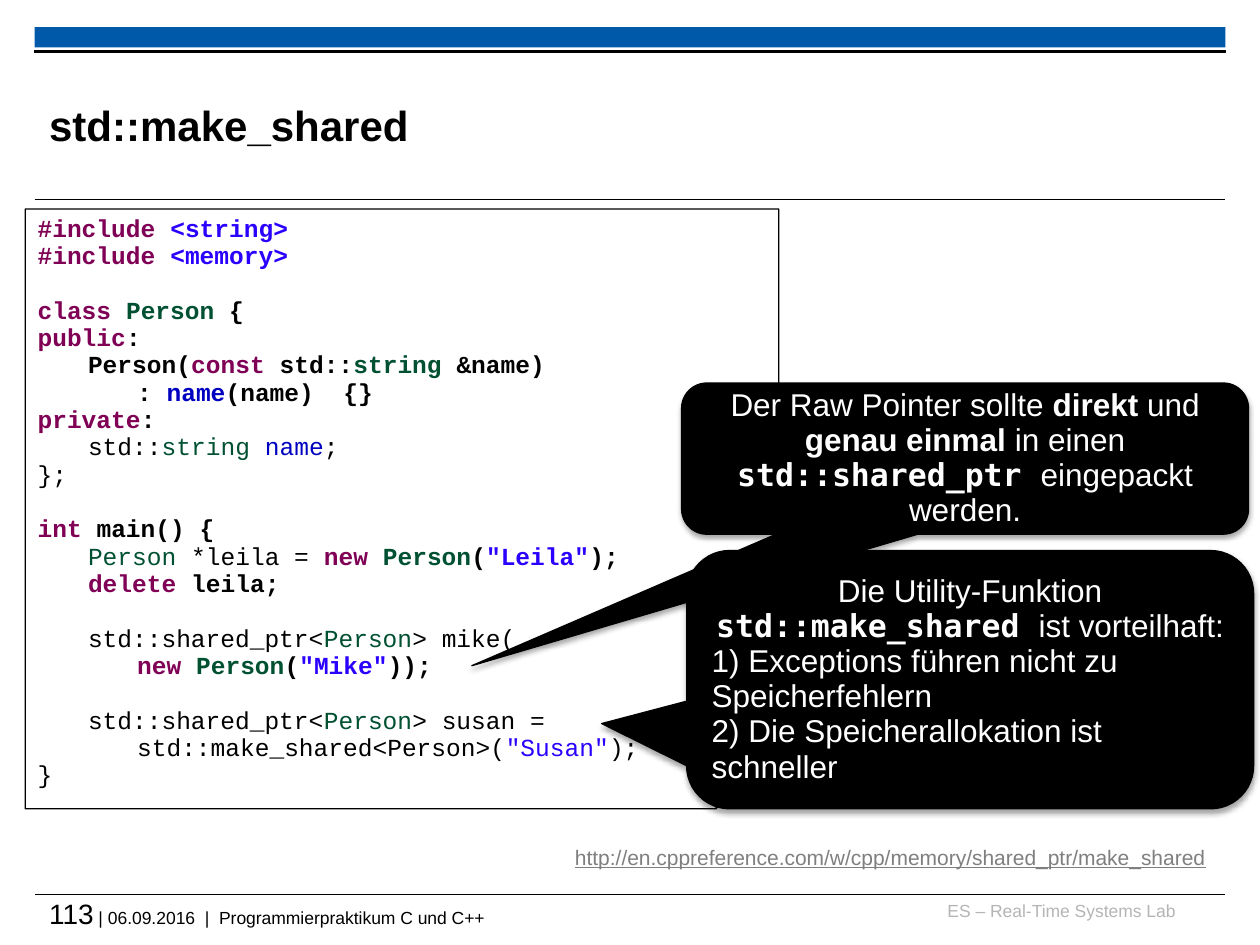
from pptx import Presentation
from pptx.dml.color import RGBColor
from pptx.enum.shapes import MSO_CONNECTOR as Connector, MSO_SHAPE as Shape
from pptx.enum.text import MSO_ANCHOR as Anchor, MSO_AUTO_SIZE as AutoSize, PP_ALIGN as Align
from pptx.oxml.ns import qn
from pptx.util import Pt
from lxml.etree import SubElement

BLACK, WHITE, BLUE = "000000", "FFFFFF", "005AA9"
KEYWORD, TYPE, STRING, FIELD = "7F0055", "005032", "2A00FF", "0000C0"
LIGHT_GRAY, GRAY = "B5B5B5", "7F7F7F"
SANS, CODE, MONO = "Arial", "Courier New", "DejaVu Sans Mono"
LINE_SPACING = 0.93
TAB_STOPS = (28.8, 56.9, 84.2)

CODE_LINES = [
    [("#include ", KEYWORD, True), ("<string>", STRING, True)],
    [("#include ", KEYWORD, True), ("<memory>", STRING, True)],
    [],
    [("class ", KEYWORD, True), ("Person", TYPE, True), (" {", BLACK, True)],
    [("public", KEYWORD, True), (":", BLACK, True)],
    [("\tPerson(", BLACK, True), ("const ", KEYWORD, True), ("std::", BLACK, True),
     ("string", TYPE, True), (" &name)", BLACK, True)],
    [("\t\t: ", BLACK, True), ("name", FIELD, True), ("(name)  {}", BLACK, True)],
    [("private", KEYWORD, True), (":", BLACK, True)],
    [("\tstd::", BLACK, False), ("string ", TYPE, False), ("name", FIELD, False),
     (";", BLACK, False)],
    [("};", BLACK, False)],
    [],
    [("int", KEYWORD, True), (" main() {", BLACK, True)],
    [("\tPerson ", TYPE, False), ("*leila = ", BLACK, False), ("new ", KEYWORD, True),
     ("Person", TYPE, True), ("(", BLACK, True), ('"Leila"', STRING, True),
     (");", BLACK, True)],
    [("\tdelete ", KEYWORD, True), ("leila;", BLACK, True)],
    [],
    [("\tstd::shared_ptr<", BLACK, False), ("Person", TYPE, False),
     ("> mike(", BLACK, False)],
    [("\t\t", BLACK, True), ("new ", KEYWORD, True), ("Person", TYPE, True),
     ("(", BLACK, True), ('"Mike"', STRING, True), ("));", BLACK, True)],
    [],
    [("\tstd::shared_ptr<", BLACK, False), ("Person", TYPE, False),
     ("> susan =", BLACK, False)],
    [("\t\tstd::make_shared<Person>(", BLACK, False), ('"Susan"', STRING, False),
     (");", BLACK, False)],
    [("}", BLACK, False)],
]

MAKE_SHARED_NOTE = [
    (Align.CENTER, [("Die Utility-Funktion ", False, SANS),
                    ("std::make_shared ", True, MONO),
                    ("ist vorteilhaft:", False, SANS)]),
    (Align.LEFT, [("1) Exceptions führen nicht zu Speicherfehlern", False, SANS)]),
    (Align.LEFT, [("2) Die Speicherallokation ist schneller", False, SANS)]),
]
RAW_POINTER_NOTE = [
    (Align.CENTER, [("Der Raw Pointer sollte ", False, SANS), ("direkt", True, SANS),
                    (" und ", False, SANS), ("genau einmal ", True, SANS),
                    ("in einen ", False, SANS), ("std::shared_ptr ", True, MONO),
                    ("eingepackt werden.", False, SANS)]),
]


def rgb(color):
    return RGBColor.from_string(color)


def set_font(font, size, color, name=SANS, bold=False):
    font.size = Pt(size)
    font.name = name
    font.bold = bold
    font.color.rgb = rgb(color)


def set_frame(shape, anchor=Anchor.TOP, inset=(7.2, 3.6)):
    frame = shape.text_frame
    frame.word_wrap = True
    frame.auto_size = AutoSize.NONE
    frame.vertical_anchor = anchor
    frame.margin_left = frame.margin_right = Pt(inset[0])
    frame.margin_top = frame.margin_bottom = Pt(inset[1])
    return frame


def next_paragraph(frame, index, align):
    paragraph = frame.add_paragraph() if index else frame.paragraphs[0]
    paragraph.alignment = align
    paragraph.line_spacing = LINE_SPACING
    return paragraph


def add_run(paragraph, text):
    run = paragraph.add_run()
    run.text = text
    return run


def set_adjustments(shape, adjustments):
    geometry = shape._element.spPr.find(qn("a:prstGeom"))
    for child in list(geometry):
        geometry.remove(child)
    guides = SubElement(geometry, qn("a:avLst"))
    for name, value in adjustments.items():
        SubElement(guides, qn("a:gd"), name=name, fmla=f"val {round(value * 100000)}")


def add_box(slide, preset, bounds, fill=None, line=None):
    shape = slide.shapes.add_shape(preset, *map(Pt, bounds))
    shape.shadow.inherit = False
    if fill:
        shape.fill.solid()
        shape.fill.fore_color.rgb = rgb(fill)
    else:
        shape.fill.background()
    if line:
        shape.line.color.rgb = rgb(line)
        shape.line.width = Pt(0.75)
    else:
        shape.line.fill.background()
    return shape


def add_rule(slide, left, right, y):
    rule = slide.shapes.add_connector(Connector.STRAIGHT, Pt(left), Pt(y), Pt(right), Pt(y))
    rule.line.color.rgb = rgb(BLACK)
    rule.line.width = Pt(0.6)
    SubElement(rule._element.spPr, qn("a:effectLst"))


def add_label(slide, bounds, align=Align.LEFT, inset=(0, 0)):
    frame = set_frame(slide.shapes.add_textbox(*map(Pt, bounds)), inset=inset)
    paragraph = frame.paragraphs[0]
    paragraph.alignment = align
    return paragraph


def add_title(slide, text):
    title = slide.shapes.title
    title.left, title.top, title.width, title.height = map(Pt, (28.1, 38.2, 541.4, 66.2))
    paragraph = set_frame(title, Anchor.MIDDLE, (0, 0)).paragraphs[0]
    paragraph.alignment = Align.LEFT
    add_run(paragraph, text)
    set_font(paragraph.font, 24, BLACK, bold=True)


def add_code(slide):
    panel = add_box(slide, Shape.FOLDED_CORNER, (14.4, 119.5, 430.6, 342.7), line=BLACK)
    set_adjustments(panel, {"adj": 0.105})
    frame = set_frame(panel)
    for index, pieces in enumerate(CODE_LINES):
        paragraph = next_paragraph(frame, index, Align.LEFT)
        tab_list = SubElement(paragraph._p.get_or_add_pPr(), qn("a:tabLst"))
        for stop in TAB_STOPS:
            SubElement(tab_list, qn("a:tab"), pos=str(Pt(stop)), algn="l")
        set_font(paragraph.font, 14, BLACK, CODE)
        for text, color, bold in pieces:
            run = add_run(paragraph, text)
            run.font.color.rgb = rgb(color)
            run.font.bold = bold


def add_shadow(shape):
    effects = shape._element.spPr.find(qn("a:effectLst"))
    shadow = SubElement(effects, qn("a:outerShdw"), blurRad=str(Pt(3.1)),
                        dist=str(Pt(1.8)), dir="5400000", rotWithShape="0")
    color = SubElement(shadow, qn("a:srgbClr"), val=BLACK)
    SubElement(color, qn("a:alpha"), val="35000")


def add_callout(slide, bounds, tail, paragraphs):
    callout = add_box(slide, Shape.ROUNDED_RECTANGULAR_CALLOUT, bounds, BLACK, BLACK)
    set_adjustments(callout, {"adj1": tail[0], "adj2": tail[1], "adj3": 0.16667})
    add_shadow(callout)
    frame = set_frame(callout, Anchor.MIDDLE)
    for index, (align, pieces) in enumerate(paragraphs):
        paragraph = next_paragraph(frame, index, align)
        set_font(paragraph.font, 18, WHITE)
        for text, bold, name in pieces:
            run = add_run(paragraph, text)
            run.font.bold = bold
            run.font.name = name


def add_link(slide, address):
    paragraph = add_label(slide, (130.3, 480.2, 569.5, 20.9), Align.RIGHT, (7.2, 3.6))
    paragraph.line_spacing = LINE_SPACING
    set_font(paragraph.font, 12, GRAY)
    add_run(paragraph, address).font.underline = True
    add_run(paragraph, " ")


def add_frame_lines(slide):
    add_rule(slide, 20.2, 700.2, 511.2)
    add_box(slide, Shape.RECTANGLE, (19.8, 15.6, 680.4, 11.5), BLUE)
    add_rule(slide, 19.8, 700.2, 114.2)
    add_box(slide, Shape.RECTANGLE, (19.8, 28.8, 680.4, 1.2), BLACK, BLACK)


def add_footer(slide):
    lab = add_label(slide, (529.9, 514.1, 141.8, 18), Align.RIGHT)
    add_run(lab, "ES – Real-Time Systems Lab")
    set_font(lab.font, 10, LIGHT_GRAY)
    footer = add_label(slide, (28.1, 512.6, 671.8, 23.8))
    set_font(footer.font, 10, BLACK)
    add_run(footer, "113").font.size = Pt(16)
    add_run(footer, " | 06.09.2016  |  Programmierpraktikum C und C++")


def main():
    presentation = Presentation()
    presentation.slide_width, presentation.slide_height = Pt(720), Pt(540)
    slide = presentation.slides.add_slide(presentation.slide_layouts[5])
    add_frame_lines(slide)
    add_footer(slide)
    add_title(slide, "std::make_shared")
    add_link(slide, "http://en.cppreference.com/w/cpp/memory/shared_ptr/make_shared")
    add_code(slide)
    add_callout(slide, (392.4, 314.6, 324, 147.6), (-0.65, 0.17), MAKE_SHARED_NOTE)
    add_callout(slide, (389.5, 218.9, 324, 86.4), (-0.87, 1.37), RAW_POINTER_NOTE)
    presentation.save("out.pptx")


if __name__ == "__main__":
    main()
